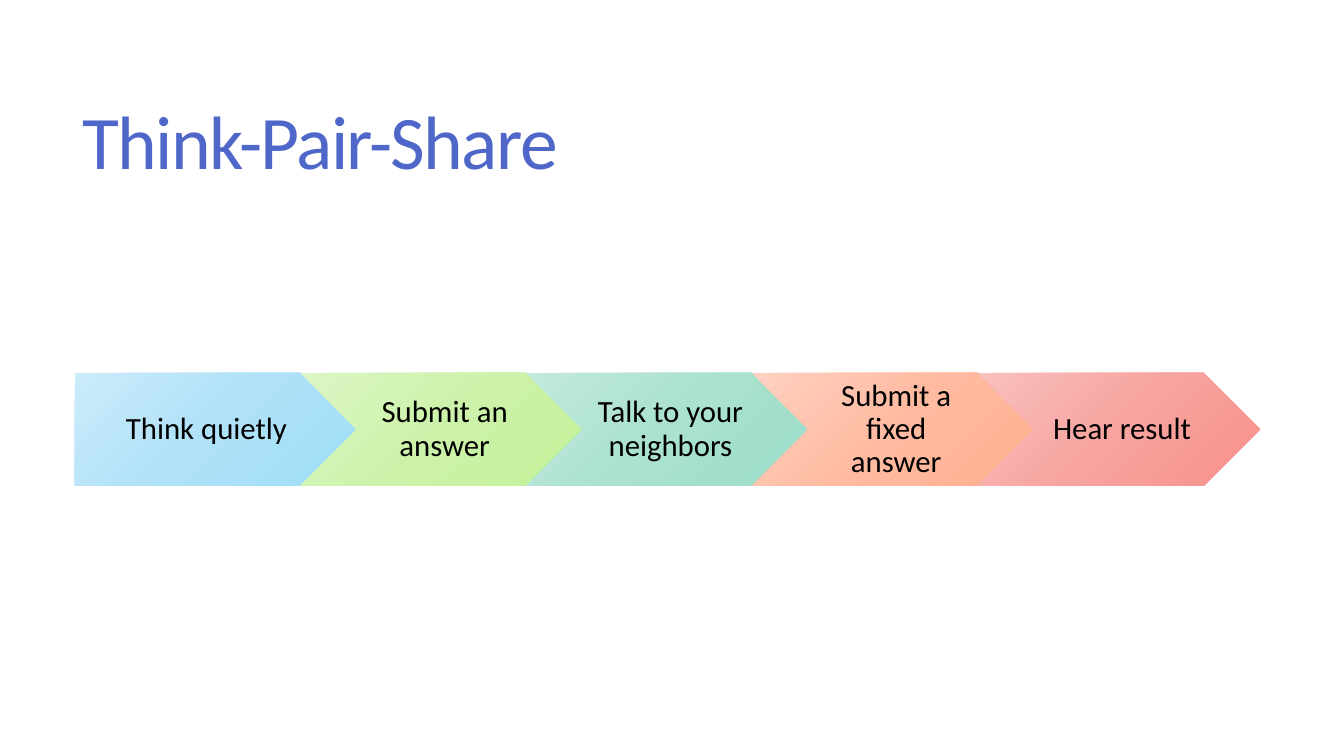
from copy import deepcopy
from dataclasses import dataclass

from pptx import Presentation
from pptx.dml.color import RGBColor
from pptx.enum.shapes import MSO_SHAPE
from pptx.enum.text import MSO_ANCHOR, PP_ALIGN
from pptx.oxml.ns import qn
from pptx.util import Pt


@dataclass(frozen=True)
class Theme:
    font: str = "Calibri"
    title_color: str = "4E67C8"
    step_color: str = "000000"
    title_size: float = 54
    step_size: float = 22


THEME = Theme()

STEPS = [
    ("Think quietly", ("CBEBFA", "AFE1F8", "9FDEF8")),
    ("Submit an answer", ("DCF6C5", "CCF2A9", "C4F298")),
    ("Talk to your neighbors", ("C2E9DC", "AAE1CF", "9ADEC9")),
    ("Submit a fixed answer", ("FFD1C1", "FFBAA1", "FFAF8E")),
    ("Hear result", ("F9C0BD", "F7A49F", "F7918A")),
]

STEP_LEFT, STEP_TOP = 53.28, 266.4
STEP_WIDTH, STEP_HEIGHT = 201.6, 80.64
STEP_PITCH = STEP_WIDTH - STEP_HEIGHT / 2


def write_text(frame, text, *, size, color, align, line_spacing, tracking=0):
    frame.word_wrap = True
    frame.vertical_anchor = MSO_ANCHOR.MIDDLE
    paragraph = frame.paragraphs[0]
    paragraph.alignment = align
    paragraph.line_spacing = line_spacing
    run = paragraph.add_run()
    run.text = text
    run.font.name = THEME.font
    run.font.size = Pt(size)
    run.font.color.rgb = RGBColor.from_string(color)
    if tracking:
        run.font._element.set("spc", str(round(tracking * 100)))


def fill_gradient(shape, colors):
    shape.fill.gradient()
    shape.fill.gradient_angle = 315
    stop_list = shape._element.spPr.find(qn("a:gradFill")).find(qn("a:gsLst"))
    stop_list.insert(1, deepcopy(stop_list[0]))
    for index, (stop, color) in enumerate(zip(shape.fill.gradient_stops, colors)):
        stop.position = index / (len(colors) - 1)
        stop.color.rgb = RGBColor.from_string(color)


def add_title(slide, text):
    title = slide.shapes.title
    title.left, title.top = Pt(51.84), Pt(39.6)
    title.width, title.height = Pt(848.16), Pt(130.32)
    write_text(title.text_frame, text, size=THEME.title_size,
               color=THEME.title_color, align=PP_ALIGN.LEFT,
               line_spacing=0.85, tracking=-1.2)


def add_step(slide, index, label, colors):
    outline = MSO_SHAPE.CHEVRON if index else MSO_SHAPE.PENTAGON
    step = slide.shapes.add_shape(
        outline, Pt(STEP_LEFT + index * STEP_PITCH), Pt(STEP_TOP),
        Pt(STEP_WIDTH), Pt(STEP_HEIGHT))
    step.shadow.inherit = False
    step.line.fill.background()
    fill_gradient(step, colors)
    frame = step.text_frame
    frame.margin_left = Pt(6.93 if index else 9.24)
    frame.margin_right = Pt(2.31)
    frame.margin_top = frame.margin_bottom = Pt(4.62)
    write_text(frame, label, size=THEME.step_size, color=THEME.step_color,
               align=PP_ALIGN.CENTER, line_spacing=0.9)


def main():
    presentation = Presentation()
    presentation.slide_width, presentation.slide_height = Pt(960), Pt(540)
    slide = presentation.slides.add_slide(presentation.slide_layouts[5])
    add_title(slide, "Think-Pair-Share")
    for index, (label, colors) in enumerate(STEPS):
        add_step(slide, index, label, colors)
    presentation.save("out.pptx")


if __name__ == "__main__":
    main()
